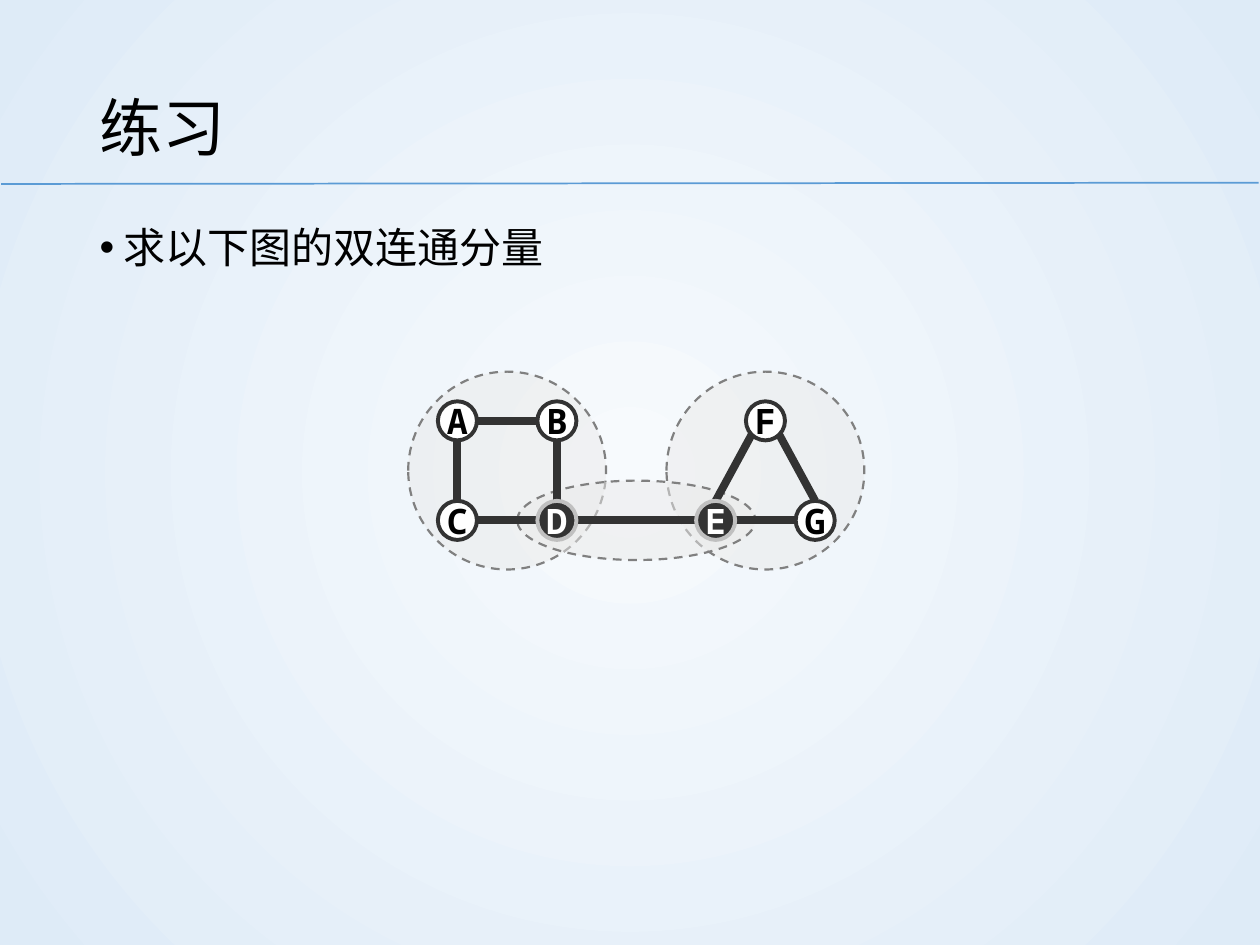
"""Build an exercise slide on the biconnected components of a graph."""
from math import cos, radians, sin
from typing import Any, NamedTuple

from lxml.etree import SubElement
from pptx import Presentation
from pptx.dml.color import RGBColor
from pptx.enum.dml import MSO_LINE
from pptx.enum.shapes import MSO_CONNECTOR as CXN, MSO_SHAPE
from pptx.enum.text import MSO_ANCHOR as ANCHOR, PP_ALIGN as ALIGN
from pptx.oxml.ns import qn
from pptx.util import Inches, Pt

BLACK = RGBColor(0x00, 0x00, 0x00)
WHITE = RGBColor(0xFF, 0xFF, 0xFF)
DARK = RGBColor(0x33, 0x33, 0x33)
SILVER = RGBColor(0xC0, 0xC0, 0xC0)
PALE = RGBColor(0xEA, 0xEA, 0xEA)
GRAY = RGBColor(0x80, 0x80, 0x80)
BLUE = RGBColor(0x5B, 0x9B, 0xD5)
BG_CENTER = RGBColor(0xF7, 0xFA, 0xFD)
BG_EDGE = RGBColor(0xDE, 0xEB, 0xF7)
NODE_SIZE = 0.31
LEFT_X, TOP_Y, GAP = 3.63, 3.34, 0.79
BOTTOM_Y, E_X = TOP_Y + GAP, 5.68


class Component(NamedTuple):
    x: float
    y: float
    w: float
    h: float


class Node(NamedTuple):
    x: float
    y: float
    cut: bool = False


class Edge(NamedTuple):
    start: str
    start_angle: float
    end: str
    end_angle: float


COMPONENTS = [
    Component(E_X + GAP / 2, TOP_Y + GAP / 2, 1.57, 1.57),
    Component(LEFT_X + GAP / 2, TOP_Y + GAP / 2, 1.57, 1.57),
    Component((LEFT_X + GAP + E_X) / 2, BOTTOM_Y, 1.89, 0.63),
]
NODES = {
    "A": Node(LEFT_X, TOP_Y),
    "C": Node(LEFT_X, BOTTOM_Y),
    "B": Node(LEFT_X + GAP, TOP_Y),
    "G": Node(E_X + GAP, BOTTOM_Y),
    "F": Node(E_X + GAP / 2, TOP_Y),
    "D": Node(LEFT_X + GAP, BOTTOM_Y, True),
    "E": Node(E_X, BOTTOM_Y, True),
}
EDGES = [
    Edge("A", 90, "C", -90),
    Edge("B", 90, "D", -90),
    Edge("B", 180, "A", 0),
    Edge("D", 180, "C", 0),
    Edge("E", -90, "F", 135),
    Edge("E", 0, "G", 180),
    Edge("G", -90, "F", 45),
    Edge("D", 0, "E", 180),
]


def apply(obj: Any, **values: Any) -> None:
    for name, value in values.items():
        setattr(obj, name, value)


def set_background(s: Any) -> None:
    fill = s.background.fill
    fill.gradient()
    for stop, color in zip(fill.gradient_stops, (BG_CENTER, BG_EDGE)):
        stop.color.rgb = color
    grad = s.background._cSld.find(".//" + qn("a:gradFill"))
    grad.remove(grad.find(qn("a:lin")))
    rings = SubElement(grad, qn("a:path"), {"path": "circle"})
    SubElement(rings, qn("a:fillToRect"), dict.fromkeys("ltrb", "50000"))


def add_text(tf: Any, text: str, size: float, font: str, color: RGBColor,
             bold: bool = False, **para: Any) -> Any:
    p = tf.paragraphs[0]
    apply(p, **para)
    r = p.add_run()
    r.text = text
    apply(r.font, size=Pt(size), name=font, bold=bold)
    r.font.color.rgb = color
    return p


def add_line(s: Any, x1: float, y1: float, x2: float, y2: float,
             color: RGBColor, width: float) -> None:
    line = s.shapes.add_connector(CXN.STRAIGHT, *map(Inches, (x1, y1, x2, y2)))
    line.line.color.rgb = color
    line.line.width = Pt(width)
    SubElement(line._element.spPr, qn("a:effectLst"))


def add_ellipse(s: Any, x: float, y: float, w: float, h: float,
                fill: RGBColor, outline: RGBColor, width: float) -> Any:
    sp = s.shapes.add_shape(
        MSO_SHAPE.OVAL, *map(Inches, (x - w / 2, y - h / 2, w, h)))
    sp.shadow.inherit = False
    sp.fill.solid()
    sp.fill.fore_color.rgb = fill
    sp.line.color.rgb = outline
    sp.line.width = Pt(width)
    return sp


def add_component(s: Any, component: Component) -> None:
    sp = add_ellipse(s, *component, PALE, GRAY, 1.25)
    sp.line.dash_style = MSO_LINE.DASH
    color = sp._element.spPr.find(qn("a:solidFill"))[0]
    SubElement(color, qn("a:alpha"), {"val": "50000"})


def add_node(s: Any, label: str, node: Node) -> None:
    fill, outline, ink = (DARK, SILVER, WHITE) if node.cut else (WHITE, DARK, BLACK)
    sp = add_ellipse(s, node.x, node.y, NODE_SIZE, NODE_SIZE, fill, outline, 2.25)
    tf = sp.text_frame
    apply(tf, margin_left=0, margin_right=0, margin_top=0, margin_bottom=0,
          word_wrap=False, vertical_anchor=ANCHOR.MIDDLE)
    add_text(tf, label, 20, "Noto Sans Mono", ink, True, alignment=ALIGN.CENTER)


def rim_point(label: str, angle: float) -> tuple[float, float]:
    node, a = NODES[label], radians(angle)
    return node.x + NODE_SIZE / 2 * cos(a), node.y + NODE_SIZE / 2 * sin(a)


def add_edge(s: Any, edge: Edge) -> None:
    start = rim_point(edge.start, edge.start_angle)
    end = rim_point(edge.end, edge.end_angle)
    add_line(s, *start, *end, DARK, 4.5)


def main() -> None:
    prs = Presentation()
    apply(prs, slide_width=Inches(10), slide_height=Inches(7.5))
    s = prs.slides.add_slide(prs.slide_layouts[1])
    set_background(s)

    title, body = s.placeholders
    apply(title, left=Inches(0.69), top=Inches(0.4),
          width=Inches(8.62), height=Inches(1.08))
    title.text_frame.vertical_anchor = ANCHOR.MIDDLE
    add_text(title.text_frame, "练习", 36, "Arial", BLACK,
             alignment=ALIGN.LEFT, line_spacing=1.2)
    apply(body, left=Inches(0.69), top=Inches(1.63),
          width=Inches(8.62), height=Inches(5.13))
    p = add_text(body.text_frame, "求以下图的双连通分量", 24, "Arial", BLACK,
                 line_spacing=1.2, space_before=Pt(7.5))
    pPr = p._p.get_or_add_pPr()
    pPr.set("marL", str(Inches(0.19)))
    pPr.set("indent", str(Inches(-0.19)))
    SubElement(pPr, qn("a:buChar"), {"char": "•"})

    add_line(s, 0.01, 1.46, 9.99, 1.45, BLUE, 1)
    for component in COMPONENTS:
        add_component(s, component)
    for edge in EDGES:
        add_edge(s, edge)
    for label, node in NODES.items():
        add_node(s, label, node)
    prs.save("out.pptx")


if __name__ == "__main__":
    main()
